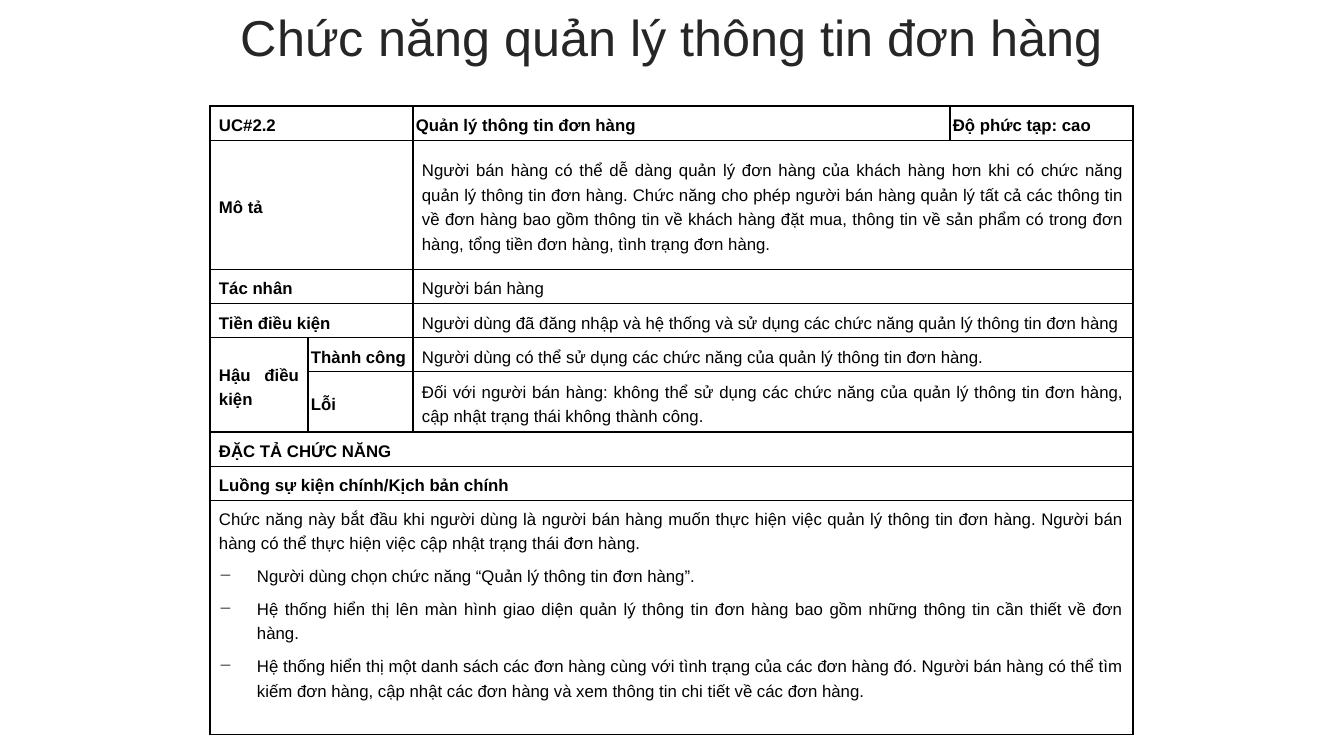
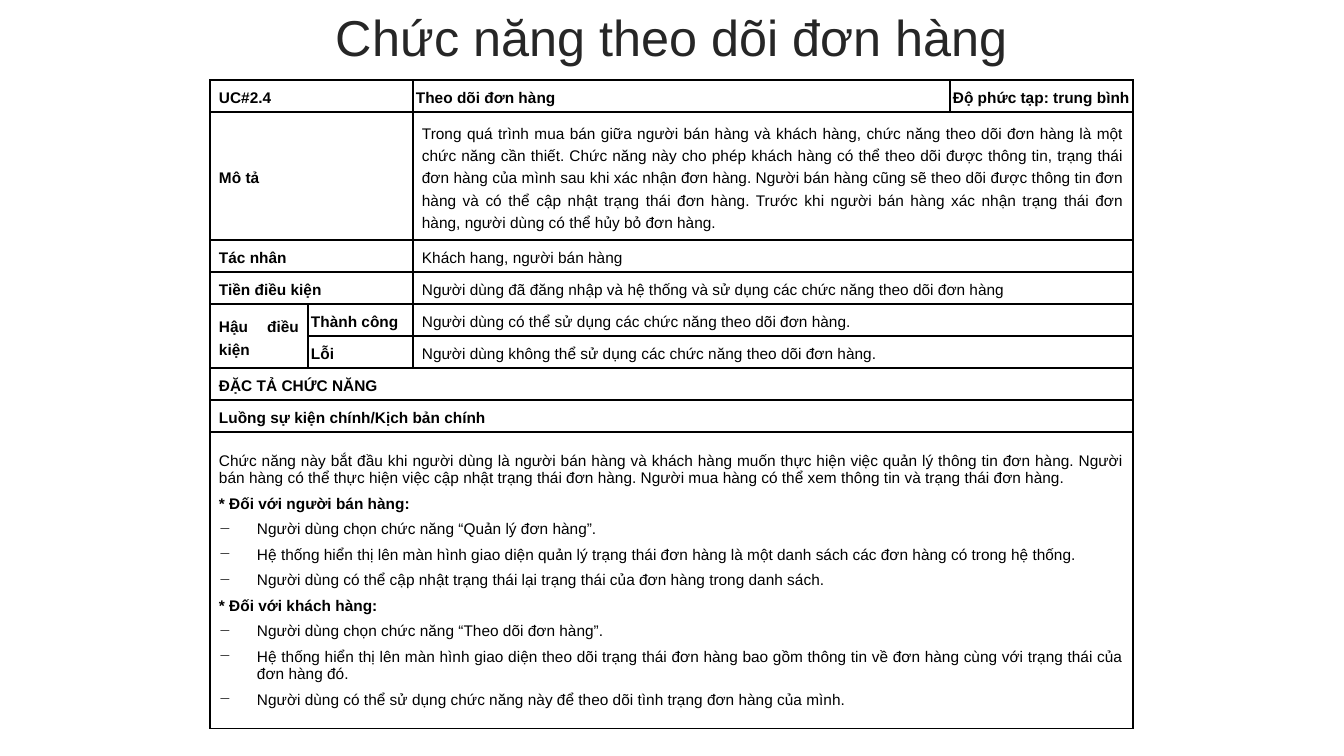
from lxml import etree
from pptx import Presentation
from pptx.dml.color import RGBColor
from pptx.enum.text import MSO_ANCHOR, PP_ALIGN
from pptx.oxml.ns import qn
from pptx.util import Pt

PX = 914400 / 100.8
FONT = "Arial"
BLACK = RGBColor(0x00, 0x00, 0x00)
WHITE = RGBColor(0xFF, 0xFF, 0xFF)
TITLE_GRAY = RGBColor(0x26, 0x26, 0x26)
TOP, MIDDLE = MSO_ANCHOR.TOP, MSO_ANCHOR.MIDDLE
CENTER, JUSTIFY = PP_ALIGN.CENTER, PP_ALIGN.JUSTIFY

TABLE_LEFT = 210
COLUMNS = [98, 105, 537, 183]
WIDE_INSETS = (9, 4, 9, 4)
NARROW_INSETS = (3, 0, 3, 0)
BULLET_INDENT = 38

USE_CASES = [
    {
        "title": "Chức năng quản lý thông tin đơn hàng",
        "top": 106,
        "rows": [33, 129, 34, 33, 33, 57, 33, 33, 234],
        "size": 12,
        "flow_spacing": 1.3,
        "flow_anchor": TOP,
        "code": "UC#2.2",
        "name": "Quản lý thông tin đơn hàng",
        "complexity": "Độ phức tạp: cao",
        "description": "Người bán hàng có thể dễ dàng quản lý đơn hàng của khách hàng hơn khi có "
                       "chức năng quản lý thông tin đơn hàng. Chức năng cho phép người bán hàng "
                       "quản lý tất cả các thông tin về đơn hàng bao gồm thông tin về khách hàng "
                       "đặt mua, thông tin về sản phẩm có trong đơn hàng, tổng tiền đơn hàng, "
                       "tình trạng đơn hàng.",
        "actor": "Người bán hàng",
        "precondition": "Người dùng đã đăng nhập và hệ thống và sử dụng các chức năng quản lý "
                        "thông tin đơn hàng",
        "success": "Người dùng có thể sử dụng các chức năng của quản lý thông tin đơn hàng.",
        "failure": "Đối với người bán hàng: không thể sử dụng các chức năng của quản lý thông tin "
                   "đơn hàng, cập nhật trạng thái không thành công.",
        "flow": [
            ("plain", "Chức năng này bắt đầu khi người dùng là người bán hàng muốn thực hiện việc "
                      "quản lý thông tin đơn hàng. Người bán hàng có thể thực hiện việc cập nhật "
                      "trạng thái đơn hàng."),
            ("bullet", "Người dùng chọn chức năng “Quản lý thông tin đơn hàng”."),
            ("bullet", "Hệ thống hiển thị lên màn hình giao diện quản lý thông tin đơn hàng bao "
                       "gồm những thông tin cần thiết về đơn hàng."),
            ("bullet", "Hệ thống hiển thị một danh sách các đơn hàng cùng với tình trạng của các "
                       "đơn hàng đó. Người bán hàng có thể tìm kiếm đơn hàng, cập nhật các đơn "
                       "hàng và xem thông tin chi tiết về các đơn hàng."),
        ],
    },
    {
        "title": "Chức năng theo dõi đơn hàng",
        "top": 80,
        "rows": [32, 124, 32, 31, 32, 31, 32, 32, 297],
        "size": 11,
        "flow_spacing": 1.0,
        "flow_anchor": MIDDLE,
        "code": "UC#2.4",
        "name": "Theo dõi đơn hàng",
        "complexity": "Độ phức tạp: trung bình",
        "description": "Trong quá trình mua bán giữa người bán hàng và khách hàng, chức năng theo "
                       "dõi đơn hàng là một chức năng cần thiết. Chức năng này cho phép khách "
                       "hàng có thể theo dõi được thông tin, trạng thái đơn hàng của mình sau khi "
                       "xác nhận đơn hàng. Người bán hàng cũng sẽ theo dõi được thông tin đơn "
                       "hàng và có thể cập nhật trạng thái đơn hàng. Trước khi người bán hàng xác "
                       "nhận trạng thái đơn hàng, người dùng có thể hủy bỏ đơn hàng.",
        "actor": "Khách hang, người bán hàng",
        "precondition": "Người dùng đã đăng nhập và hệ thống và sử dụng các chức năng theo dõi "
                        "đơn hàng",
        "success": "Người dùng có thể sử dụng các chức năng theo dõi đơn hàng.",
        "failure": "Người dùng không thể sử dụng các chức năng theo dõi đơn hàng.",
        "flow": [
            ("plain", "Chức năng này bắt đầu khi người dùng là người bán hàng và khách hàng muốn "
                      "thực hiện việc quản lý thông tin đơn hàng. Người bán hàng có thể thực hiện "
                      "việc cập nhật trạng thái đơn hàng. Người mua hàng có thể xem thông tin và "
                      "trạng thái đơn hàng."),
            ("bold", "* Đối với người bán hàng:"),
            ("bullet", "Người dùng chọn chức năng “Quản lý đơn hàng”."),
            ("bullet", "Hệ thống hiển thị lên màn hình giao diện quản lý trạng thái đơn hàng là "
                       "một danh sách các đơn hàng có trong hệ thống."),
            ("bullet", "Người dùng có thể cập nhật trạng thái lại trạng thái của đơn hàng trong "
                       "danh sách."),
            ("bold", "* Đối với khách hàng:"),
            ("bullet", "Người dùng chọn chức năng “Theo dõi đơn hàng”."),
            ("bullet", "Hệ thống hiển thị lên màn hình giao diện theo dõi trạng thái đơn hàng bao "
                       "gồm thông tin về đơn hàng cùng với trạng thái của đơn hàng đó."),
            ("bullet", "Người dùng có thể sử dụng chức năng này để theo dõi tình trạng đơn hàng "
                       "của mình."),
        ],
    },
]


def px(n):
    return round(n * PX)


def style_cell(cell):
    """Give a cell thin black borders and a white fill."""
    tc_pr = cell._tc.get_or_add_tcPr()
    for side in ("lnL", "lnR", "lnT", "lnB"):
        ln = etree.SubElement(tc_pr, qn("a:" + side), w=str(Pt(1)))
        fill = etree.SubElement(ln, qn("a:solidFill"))
        etree.SubElement(fill, qn("a:srgbClr"), val=str(BLACK))
    cell.fill.solid()
    cell.fill.fore_color.rgb = WHITE


prs = Presentation()
prs.slide_width, prs.slide_height = px(1344), px(756)

for case in USE_CASES:
    s = prs.slides.add_slide(prs.slide_layouts[6])

    title = s.shapes.add_textbox(px(34), 0, px(1276), px(80))
    tf = title.text_frame
    tf.word_wrap = True
    tf.vertical_anchor = MIDDLE
    p = tf.paragraphs[0]
    p.text = case["title"]
    p.alignment = CENTER
    p.line_spacing = 0.9
    p.space_before = Pt(10)
    font = p.runs[0].font
    font.name, font.size, font.color.rgb = FONT, Pt(36), TITLE_GRAY

    table = s.shapes.add_table(len(case["rows"]), len(COLUMNS), px(TABLE_LEFT), px(case["top"]),
                               px(sum(COLUMNS)), px(sum(case["rows"]))).table
    table.first_row = table.horz_banding = False
    for column, width in zip(table.columns, COLUMNS):
        column.width = px(width)
    for row, height in zip(table.rows, case["rows"]):
        row.height = px(height)
    for cell in table.iter_cells():
        style_cell(cell)

    # first row, first column, last row, last column, insets, paragraphs
    cells = [
        (0, 0, 0, 1, WIDE_INSETS, [("bold", case["code"])]),
        (0, 2, 0, 2, NARROW_INSETS, [("bold", case["name"])]),
        (0, 3, 0, 3, NARROW_INSETS, [("bold", case["complexity"])]),
        (1, 0, 1, 1, WIDE_INSETS, [("bold", "Mô tả")]),
        (2, 0, 2, 1, WIDE_INSETS, [("bold", "Tác nhân")]),
        (3, 0, 3, 1, WIDE_INSETS, [("bold", "Tiền điều kiện")]),
        (4, 0, 5, 0, WIDE_INSETS, [("bold", "Hậu điều kiện")]),
        (4, 1, 4, 1, NARROW_INSETS, [("bold", "Thành công")]),
        (5, 1, 5, 1, NARROW_INSETS, [("bold", "Lỗi")]),
        (6, 0, 6, 3, WIDE_INSETS, [("bold", "ĐẶC TẢ CHỨC NĂNG")]),
        (7, 0, 7, 3, WIDE_INSETS, [("bold", "Luồng sự kiện chính/Kịch bản chính")]),
        (8, 0, 8, 3, WIDE_INSETS, case["flow"]),
    ]
    details = ["description", "actor", "precondition", "success", "failure"]
    for row, key in enumerate(details, start=1):
        cells.append((row, 2, row, 3, WIDE_INSETS, [("plain", case[key])]))

    for top, left, bottom, right, insets, paragraphs in cells:
        cell = table.cell(top, left)
        if (top, left) != (bottom, right):
            cell.merge(table.cell(bottom, right))
        (cell.margin_left, cell.margin_top,
         cell.margin_right, cell.margin_bottom) = map(px, insets)
        is_flow = paragraphs is case["flow"]
        cell.vertical_anchor = case["flow_anchor"] if is_flow else MIDDLE
        tf = cell.text_frame
        for i, (style, text) in enumerate(paragraphs):
            p = tf.add_paragraph() if i else tf.paragraphs[0]
            p.text = text
            p.alignment = JUSTIFY
            p.line_spacing = case["flow_spacing"] if is_flow else 1.3
            p.space_before = p.space_after = Pt(3)
            font = p.runs[0].font
            font.name, font.size, font.color.rgb = FONT, Pt(case["size"]), BLACK
            font.bold = style == "bold"
            if style == "bullet":
                p_pr = p._p.get_or_add_pPr()
                p_pr.set("marL", str(px(BULLET_INDENT)))
                p_pr.set("indent", str(-px(BULLET_INDENT)))
                etree.SubElement(p_pr, qn("a:buChar"), char="−")

prs.save("out.pptx")
